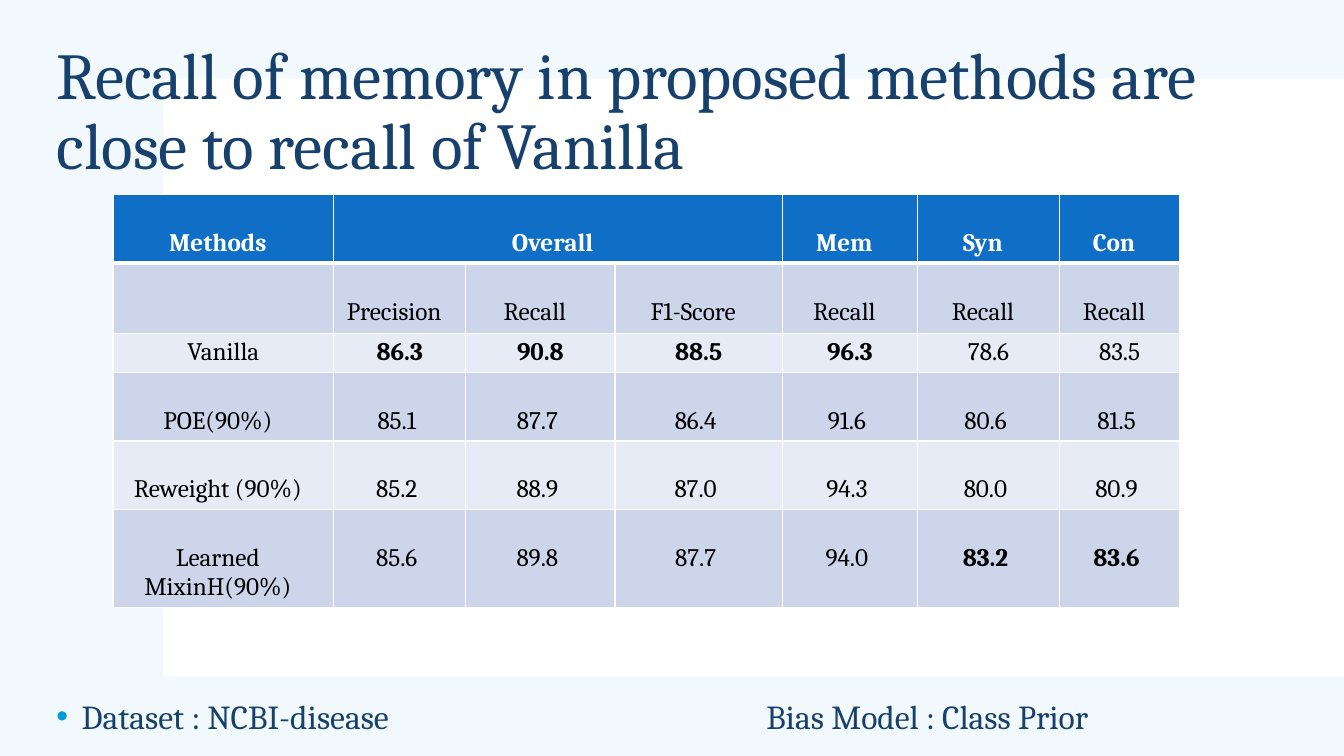
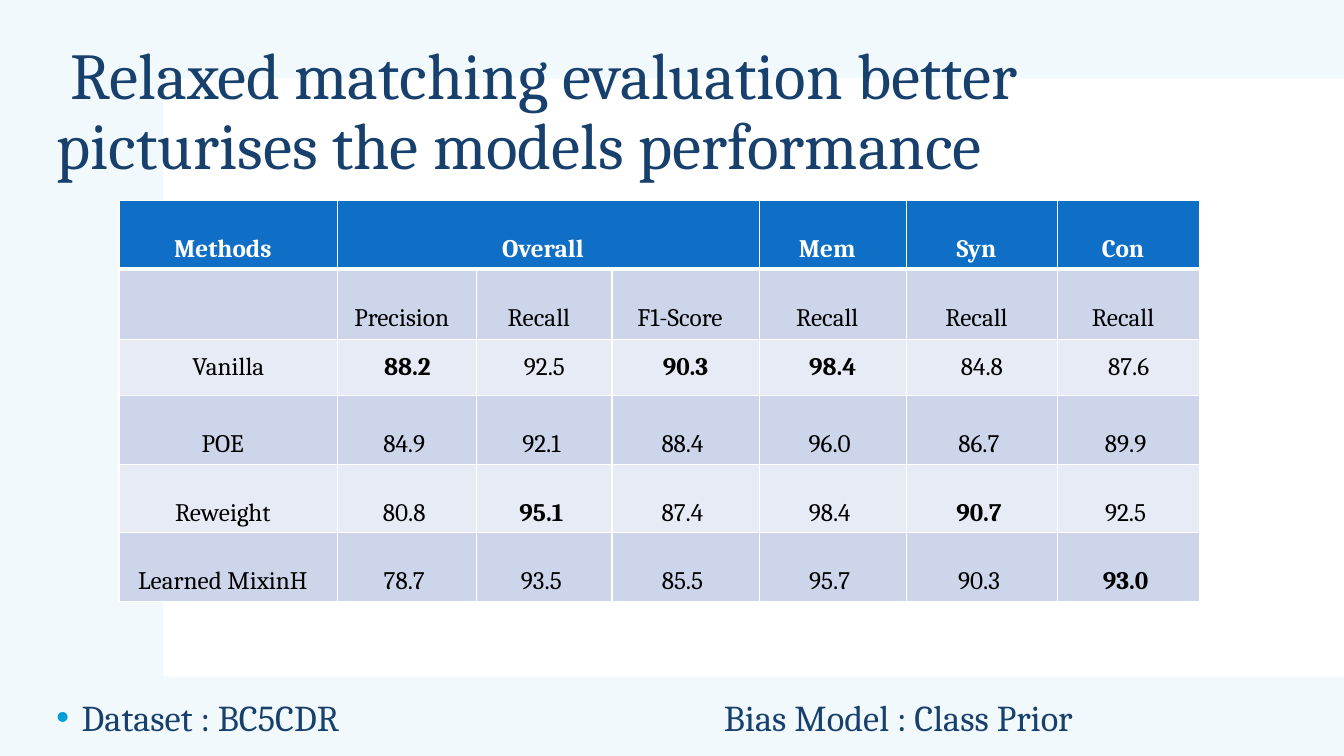
"""Build two slides that compare recall of debiasing methods."""
from dataclasses import dataclass

from lxml.etree import SubElement as Sub
from pptx import Presentation
from pptx.dml.color import RGBColor as Rgb
from pptx.enum.shapes import MSO_SHAPE as Shape
from pptx.enum.text import MSO_ANCHOR as Anchor, MSO_AUTO_SIZE as Fit, PP_ALIGN as Align
from pptx.oxml import parse_xml
from pptx.oxml.ns import nsdecls, qn
from pptx.util import Inches, Pt


@dataclass(frozen=True)
class Theme:
    font: str = "Cambria"
    ink: str = "17406D"
    dot: str = "009DD9"
    pale: str = "DBEFF9"
    head: str = "0F6FC6"
    dark: str = "CCD5EA"
    light: str = "E7EBF5"
    white: str = "FFFFFF"
    black: str = "000000"
    title: float = 46.8
    cell: float = 18


THEME = Theme()
HEADS = ["Methods", "Overall", "", "", "Mem", "Syn", "Con"]
SUBS = ["", "Precision", "Recall", "F1-Score", "Recall", "Recall", "Recall"]
BIAS = "Bias Model : Class Prior"
SLIDES = [
    dict(
        title="Recall of memory in proposed methods are close to recall of Vanilla",
        lead=0, data="Dataset : NCBI-disease", size=24, bias=7.5,
        spot=(1.12, 1.93),
        cols=[2.19, 1.31, 1.48, 1.66, 1.34, 1.41, 1.19],
        rows=[0.68, 0.68, 0.39, 0.68, 0.68, 0.97],
        scores=[
            ("Vanilla", 86.3, 90.8, 88.5, 96.3, 78.6, 83.5),
            ("POE(90%)", 85.1, 87.7, 86.4, 91.6, 80.6, 81.5),
            ("Reweight (90%)", 85.2, 88.9, 87.0, 94.3, 80.0, 80.9),
            ("Learned MixinH(90%)", 85.6, 89.8, 87.7, 94.0, 83.2, 83.6),
        ],
    ),
    dict(
        title="Relaxed matching evaluation better picturises the models performance",
        lead=0.14, data="Dataset : BC5CDR", size=26, bias=7.08,
        spot=(1.18, 1.99),
        cols=[2.17, 1.38, 1.34, 1.46, 1.46, 1.5, 1.41],
        rows=[0.68, 0.68, 0.56, 0.68, 0.68, 0.68],
        scores=[
            ("Vanilla", 88.2, 92.5, 90.3, 98.4, 84.8, 87.6),
            ("POE", 84.9, 92.1, 88.4, 96.0, 86.7, 89.9),
            ("Reweight", 80.8, 95.1, 87.4, 98.4, 90.7, 92.5),
            ("Learned MixinH", 78.7, 93.5, 85.5, 95.7, 90.3, 93.0),
        ],
    ),
]


def put(frame, text, size, color=THEME.ink, bold=False, align=Align.LEFT,
        space=1.0, left=0, lead=0, dot=None):
    para = frame.paragraphs[0]
    para.alignment, para.line_spacing = align, space
    para.space_before = Pt(0)
    props = para._p.get_or_add_pPr()
    props.set("marL", str(Inches(left)))
    props.set("indent", str(Inches(lead)))
    if dot:
        Sub(Sub(props, qn("a:buClr")), qn("a:srgbClr"), val=dot)
        Sub(props, qn("a:buFont"), typeface="Arial")
        Sub(props, qn("a:buChar"), char="•")
    else:
        Sub(props, qn("a:buNone"))
    run = para.add_run()
    run.text = text
    font = run.font
    font.name, font.size, font.bold = THEME.font, Pt(size), bold
    font.color.rgb = Rgb.from_string(color)


def place(holder, left, top, width, height, anchor):
    holder.left, holder.top = Inches(left), Inches(top)
    holder.width, holder.height = Inches(width), Inches(height)
    frame = holder.text_frame
    frame.word_wrap, frame.auto_size = True, Fit.NONE
    frame.vertical_anchor = anchor
    return frame


def add_bands(slide, layout):
    bands = [(0, 0, 13.33, 7.5, THEME.pale, 35), (1.62, 0.78, 11.71, 5.93, THEME.white, 100)]
    for num, (*box, color, alpha) in enumerate(bands):
        band = slide.shapes.add_shape(Shape.RECTANGLE, *map(Inches, box))
        band.shadow.inherit = False
        band.line.fill.background()
        band.fill.solid()
        band.fill.fore_color.rgb = Rgb.from_string(color)
        tint = band.element.find(".//" + qn("a:srgbClr"))
        Sub(tint, qn("a:alpha"), val=str(alpha * 1000))
        band.element.find(".//" + qn("p:cNvPr")).set("id", str(101 + num))
        layout.shapes.element.insert(2 + num, band.element)


def edge(cell, row):
    wide = {"lnT": 3 if row == 1 else 1, "lnB": 3 if row == 0 else 1}
    props = cell._tc.get_or_add_tcPr()
    for num, side in enumerate(["lnL", "lnR", "lnT", "lnB"]):
        props.insert(num, parse_xml(
            f'<a:{side} {nsdecls("a")} w="{Pt(wide.get(side, 1))}"><a:solidFill>'
            f'<a:srgbClr val="{THEME.white}"/></a:solidFill></a:{side}>'))


def add_scores(slide, spec):
    scores = spec["scores"]
    grid = [HEADS, SUBS] + [[name] + [f"{val:.1f}" for val in vals] for name, *vals in scores]
    marks = list(zip(*scores))
    best = {(2 + col.index(max(col)), num) for num, col in enumerate(marks) if num}
    box = (*spec["spot"], sum(spec["cols"]), sum(spec["rows"]))
    table = slide.shapes.add_table(len(grid), len(HEADS), *map(Inches, box)).table
    table.horz_banding = False
    for col, width in zip(table.columns, spec["cols"]):
        col.width = Inches(width)
    for row, height in zip(table.rows, spec["rows"]):
        row.height = Inches(height)
    for r, line in enumerate(grid):
        tight = r == 2
        fill = THEME.head if r == 0 else THEME.dark if r % 2 else THEME.light
        for c, text in enumerate(line):
            cell = table.cell(r, c)
            cell.fill.solid()
            cell.fill.fore_color.rgb = Rgb.from_string(fill)
            edge(cell, r)
            cell.vertical_anchor = Anchor.MIDDLE if tight else Anchor.TOP
            cell.margin_top = Inches(0.05 if tight else 0.34)
            shift = 0 if tight else 0.11 if r < 2 or c == 0 else 0.06
            cell.margin_right = Inches(0.1 + shift)
            if text:
                put(cell.text_frame, text, THEME.cell, align=Align.CENTER,
                    color=THEME.black if r else THEME.white,
                    bold=r == 0 or (r, c) in best)
    table.cell(0, 1).merge(table.cell(0, 3))


def main():
    deck = Presentation()
    deck.slide_width, deck.slide_height = Inches(13.33), Inches(7.5)
    layout = deck.slide_layouts[3]
    for num, spec in enumerate(SLIDES):
        slide = deck.slides.add_slide(layout)
        if num == 0:
            add_bands(slide, layout)
        title, data, bias = slide.placeholders
        put(place(title, 0.46, 0.4, 11.53, 1.45, Anchor.MIDDLE), spec["title"],
            THEME.title, space=0.9, lead=spec["lead"])
        put(place(data, 0.46, 6.85, 6, 0.5, Anchor.TOP), spec["data"],
            spec["size"], left=0.25, lead=-0.25, dot=THEME.dot)
        put(place(bias, spec["bias"], 6.85, 4.5, 0.5, Anchor.TOP), BIAS, spec["size"])
        add_scores(slide, spec)
    deck.save("out.pptx")


if __name__ == "__main__":
    main()
